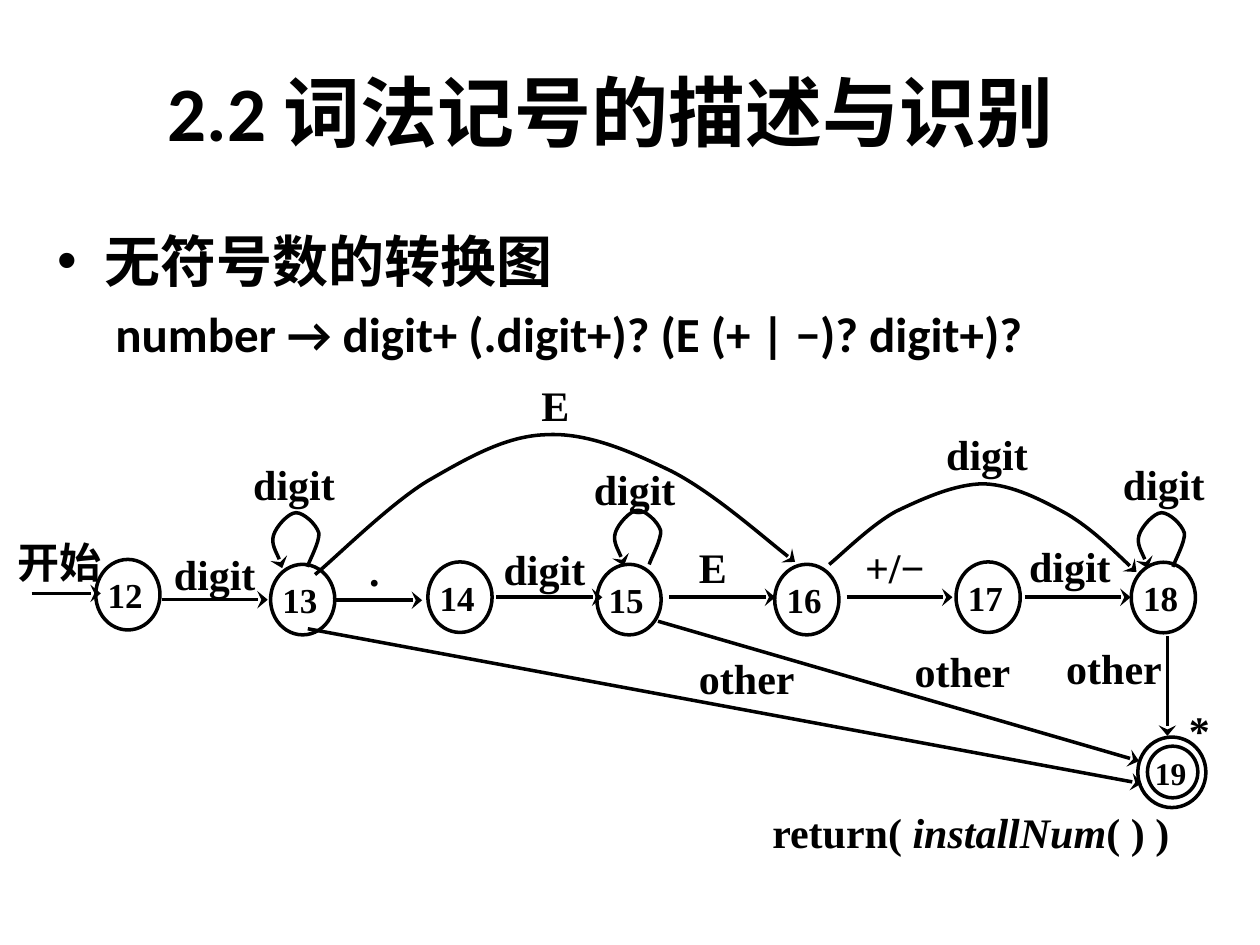
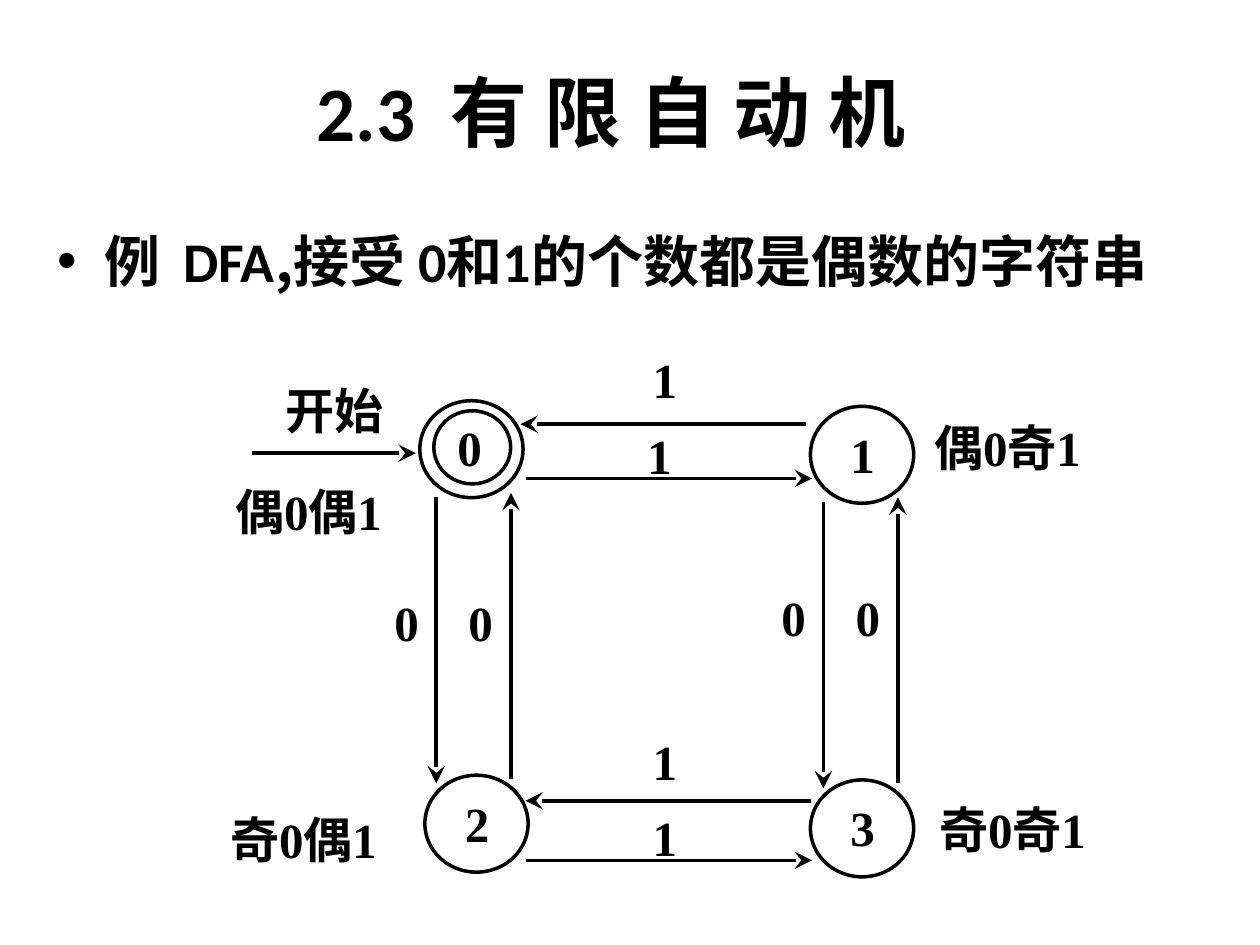
from dataclasses import dataclass
from lxml import etree
from pptx import Presentation
from pptx.dml.color import RGBColor
from pptx.enum.shapes import MSO_CONNECTOR, MSO_SHAPE
from pptx.enum.text import MSO_ANCHOR, PP_ALIGN
from pptx.oxml.ns import qn
from pptx.util import Pt

STRAIGHT = MSO_CONNECTOR.STRAIGHT
OVAL = MSO_SHAPE.OVAL
TOP, MIDDLE = MSO_ANCHOR.TOP, MSO_ANCHOR.MIDDLE
LEFT, CENTER = PP_ALIGN.LEFT, PP_ALIGN.CENTER


@dataclass(frozen=True)
class Theme:
    ink: RGBColor = RGBColor(0, 0, 0)
    paper: RGBColor = RGBColor(255, 255, 255)
    sans: str = "Calibri"
    serif: str = "Times New Roman"
    cjk: str = "Noto Sans CJK SC"
    title: int = 44
    bullet: int = 32
    formula: int = 28
    large_label: int = 28
    label: int = 24
    state: int = 20
    final: int = 18
    stroke: int = 2


theme = Theme()


def write(para, size, face, *texts):
    para.text = texts[0]
    for text in texts[1:]:
        para.add_run().text = text
    for span in para.runs:
        span.font.size = Pt(size)
        span.font.bold = True
        span.font.name = face
        span.font.color.rgb = theme.ink
        etree.SubElement(span.font._element, qn("a:ea")).set("typeface", theme.cjk)


def outline(shape, head_length=None):
    shape.line.color.rgb = theme.ink
    shape.line.width = Pt(theme.stroke)
    properties = shape._element.spPr
    if head_length:
        line = properties.find(qn("a:ln"))
        etree.SubElement(line, qn("a:tailEnd"), type="stealth", w="lg", len=head_length)
    etree.SubElement(properties, qn("a:effectLst"))


number_states = [
    ("12", 54.7, 319.7), ("13", 154.6, 322.5), ("14", 244.5, 321.1), ("15", 341.1, 322.5),
    ("16", 442.7, 322.5), ("17", 546.3, 321.1), ("18", 646.4, 321.3),
]
number_labels = [
    ("开始", 5.8, 304.6, 62),
    ("digit", 95, 311, 62), ("digit", 140.4, 259.9, 62), ("digit", 283.5, 308.2, 62),
    ("digit", 335, 262.8, 62), ("digit", 583.7, 306.7, 62), ("digit", 637.4, 259.9, 62),
    ("digit", 536.4, 242.6, 62),
    ("other", 605, 365, 77), ("other", 518.4, 366.5, 77), ("other", 395.1, 370.8, 77),
    (".", 206.6, 308.9, 33), ("E", 395, 307.4, 59), ("+/−", 490, 307.4, 59),
    ("E", 305, 214.6, 42), ("*", 675, 400.3, 32),
    (("return( ", "installNum", "( ) )"), 437, 458.6, 250),
]
number_arrows = [
    (18, 339.1, 57.6, 339.1), (92.4, 342.7, 153, 342.7), (190.1, 343, 241.2, 343),
    (667.1, 363.6, 667.1, 420.5), (376, 355, 650.9, 434.9), (175.9, 359.3, 652.3, 447.8),
]
number_arrows += [(x, 341.3, x + 60.5, 341.3) for x in (283.7, 382.5, 483.8, 585.6)]

parity_states = [
    ("", 239.9, 229), ("1", 463.1, 232.2), ("2", 242.8, 443), ("3", 463.1, 445.7),
]
parity_labels = [
    ("0", 481.9, 335.1, 70), ("0", 439.4, 335.1, 70), ("0", 260.6, 337.7, 60),
    ("0", 218.2, 337.7, 70), ("1", 365.8, 417.2, 47), ("1", 365.8, 460.6, 47),
    ("1", 365.8, 199, 47), ("1", 362.9, 242.6, 47), ("开始", 156.2, 217, 117),
]
parity_corners = [
    ("奇0奇1", 518.6, 440.6), ("奇0偶1", 113.4, 446.4),
    ("偶0偶1", 116.3, 259.2), ("偶0奇1", 515.7, 222.5),
]
edge = 163.4
parity_arrows = [(144, 259, 237.6, 259)]
for x, y, step in [(249.3, 284.2, edge), (470.5, 287.1, edge),
                   (292, 445, -edge), (513.1, 447.6, -edge)]:
    parity_arrows.append((x, y, x, y + step))
for x, y, step in [(463.7, 457.6, -edge), (300.6, 491.6, edge),
                   (300.6, 273.4, edge), (460.8, 242.4, -edge)]:
    parity_arrows.append((x, y, x + step, y))

diagrams = [
    dict(title="2.2 词法记号的描述与识别 ",
         body=[(theme.bullet, "•", ["无符号数的转换图"]),
               (theme.formula, None, ["\t number → digit+ (.digit+)? (E (+ | −)? digit+)?"])],
         states=number_states, state_size=(36.7, 40.3), state_type=theme.state,
         state_insets=(1.4, 2.2, 1.4, 3.6),
         finals=[("", 650.2, 421.2, 38.9, 40.3), ("19", 655.7, 426.4, 28.8, 29.5)],
         final_type=theme.final, final_insets=(0, 0, 0, 0), final_anchor=TOP,
         labels=number_labels, label_type=theme.label, label_insets=(4.3, 2.2, 4.3, 2.2),
         corners=[], arrows=number_arrows, head_length="med"),
    dict(title="2.3  有 限 自 动 机 ",
         body=[(theme.bullet, "•",
                ["例\t", "DFA", ",接受", " 0", "和", "1", "的个数都是偶数的字符串"])],
         states=parity_states, state_size=(59, 55.4), state_type=theme.large_label,
         state_insets=(14.2, 2.2, 7.2, 3.6),
         finals=[("0", 247.9, 234.7, 43.9, 41.8)],
         final_type=theme.large_label, final_insets=(7.2, 0, 4.3, 0), final_anchor=MIDDLE,
         labels=parity_labels, label_type=theme.large_label, label_insets=(7.2, 0.7, 7.2, 3.6),
         corners=parity_corners, arrows=parity_arrows, head_length="lg"),
]

deck = Presentation()
deck.slide_width, deck.slide_height = Pt(720), Pt(540)

for diagram in diagrams:
    page = deck.slides.add_slide(deck.slide_layouts[5])
    page.background.fill.solid()
    page.background.fill.fore_color.rgb = theme.paper

    title = page.shapes.title
    title.left, title.top, title.width, title.height = Pt(48.3), Pt(18), Pt(612), Pt(90)
    title.text_frame.vertical_anchor = MIDDLE
    para = title.text_frame.paragraphs[0]
    write(para, theme.title, theme.sans, diagram["title"])
    para.alignment = CENTER

    body = page.shapes.add_textbox(Pt(25.6), Pt(126), Pt(674.6), Pt(98)).text_frame
    body.word_wrap = True
    for index, (size, bullet, texts) in enumerate(diagram["body"]):
        para = body.add_paragraph() if index else body.paragraphs[0]
        properties = para._p.get_or_add_pPr()
        properties.set("marL", str(Pt(27)))
        properties.set("indent", str(Pt(-27)))
        if bullet:
            etree.SubElement(properties, qn("a:buFont")).set("typeface", "Arial")
            etree.SubElement(properties, qn("a:buChar")).set("char", bullet)
        else:
            etree.SubElement(properties, qn("a:buNone"))
        if index:
            para.space_before = Pt(5.5)
        write(para, size, theme.sans, *texts)
        if len(texts) > 1:
            for span in para.runs[::2]:
                span.font.name = theme.cjk

    for x1, y1, x2, y2 in diagram["arrows"]:
        arrow = page.shapes.add_connector(STRAIGHT, Pt(x1), Pt(y1), Pt(x2), Pt(y2))
        outline(arrow, diagram["head_length"])

    texts_to_set = []
    circles = [(*state, *diagram["state_size"], diagram["state_type"], diagram["state_insets"], TOP)
               for state in diagram["states"]]
    circles += [(*final, diagram["final_type"], diagram["final_insets"], diagram["final_anchor"])
                for final in diagram["finals"]]
    for name, x, y, width, height, size, insets, anchor in circles:
        circle = page.shapes.add_shape(OVAL, Pt(x), Pt(y), Pt(width), Pt(height))
        circle.fill.background()
        outline(circle)
        if name:
            texts_to_set.append((circle, name, size, insets, anchor, LEFT))

    boxes = [(*label, 38, diagram["label_insets"], TOP, LEFT) for label in diagram["labels"]]
    boxes += [(*corner, 120, 66, (4.3, 2.2, 4.3, 2.2), MIDDLE, CENTER)
              for corner in diagram["corners"]]
    for text, x, y, width, height, insets, anchor, alignment in boxes:
        box = page.shapes.add_textbox(Pt(x), Pt(y), Pt(width), Pt(height))
        texts_to_set.append((box, text, diagram["label_type"], insets, anchor, alignment))

    for shape, text, size, insets, anchor, alignment in texts_to_set:
        frame = shape.text_frame
        frame.word_wrap = True
        frame.vertical_anchor = anchor
        (frame.margin_left, frame.margin_top,
         frame.margin_right, frame.margin_bottom) = map(Pt, insets)
        para = frame.paragraphs[0]
        write(para, size, theme.serif, *([text] if isinstance(text, str) else text))
        para.alignment = alignment
        for span in para.runs[1:2]:
            span.font.italic = True

loop = [(0, 0), (0.7, -2.9), (7.2, -14.4), (6.5, -19.4), (5, -24.5), (-2.2, -31), (-6.5, -31),
        (-10.8, -31), (-18, -23), (-19.4, -18), (-20.9, -13), (-15.1, -3.6), (-14.4, 0.7)]
curves = [[(x + dx, y + dy) for dx, dy in loop]
          for x, y in [(175.7, 324), (371, 322.6), (670.3, 324)]]
curves.append([(180, 328.3), (190.8, 319.7), (221.8, 288.7), (244.1, 275), (266.4, 262.1),
               (288.7, 249.1), (311.8, 248.4), (335.5, 247), (360, 257.8), (383.8, 269.3),
               (407.5, 281.5), (439.9, 310.3), (454.3, 321.1)])
curves.append([(473.8, 322.6), (480.2, 317.5), (497.5, 300.2), (511.9, 292.3), (527, 285.1),
               (545.8, 276.5), (562.3, 276.5), (578.9, 277.2), (595.4, 285.8), (609.8, 293.8),
               (624.2, 302.4), (641.5, 319.7), (649.4, 326.9)])
number_page = deck.slides[0]
for knots in curves:
    knots = [(Pt(x), Pt(y)) for x, y in knots]
    builder = number_page.shapes.build_freeform(*knots[0])
    builder.add_line_segments(knots[3::3], close=False)
    curve = builder.convert_to_shape()
    for index, segment in enumerate(list(curve._element.iter(qn("a:lnTo")))):
        bend = etree.Element(qn("a:cubicBezTo"))
        for x, y in knots[3 * index + 1:3 * index + 4]:
            etree.SubElement(bend, qn("a:pt"), x=str(x - curve.left), y=str(y - curve.top))
        segment.getparent().replace(segment, bend)
    curve.fill.background()
    outline(curve, "med")

deck.save("out.pptx")
